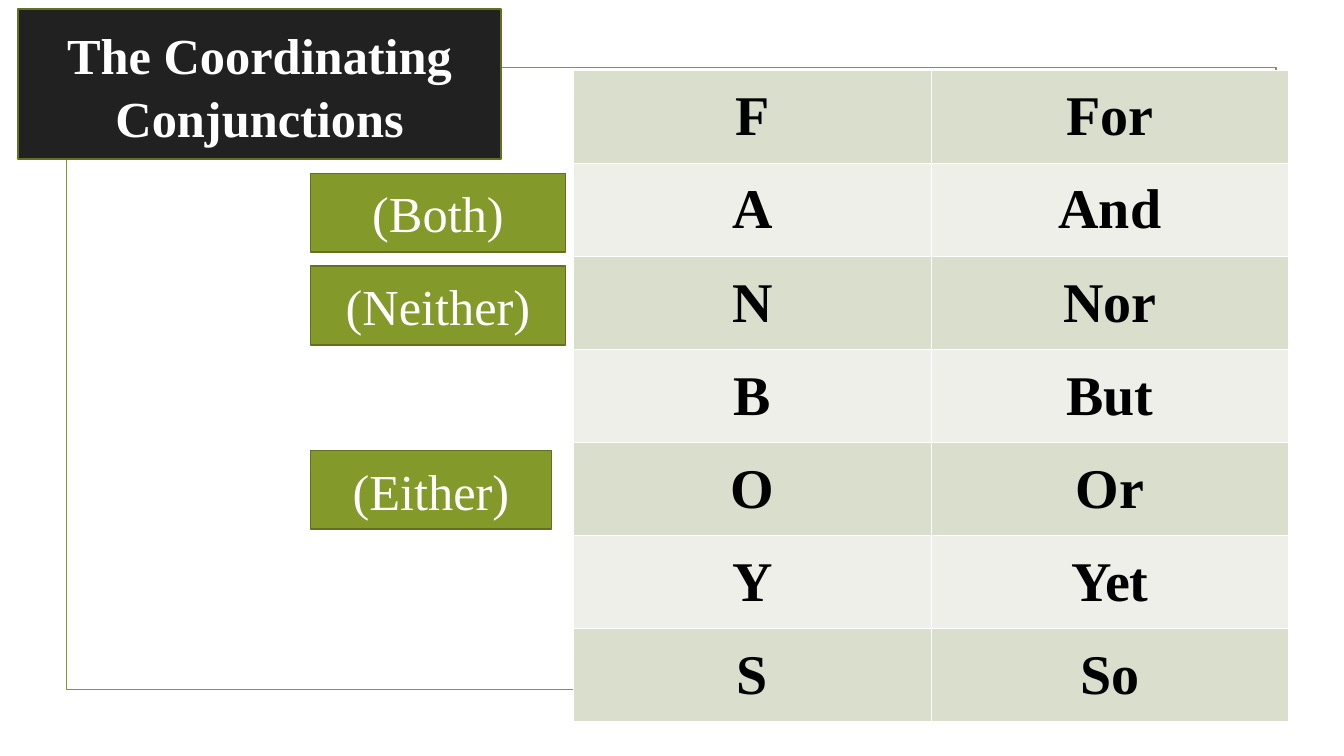
"""Build a slide that lists the seven coordinating conjunctions."""
from dataclasses import dataclass

from lxml import etree
from pptx import Presentation
from pptx.dml.color import RGBColor
from pptx.enum.shapes import MSO_SHAPE
from pptx.enum.text import MSO_ANCHOR, MSO_AUTO_SIZE, PP_ALIGN
from pptx.oxml.ns import qn
from pptx.util import Inches, Pt

RECTANGLE = MSO_SHAPE.RECTANGLE
MIDDLE = MSO_ANCHOR.MIDDLE
NO_AUTOFIT = MSO_AUTO_SIZE.NONE
CENTER = PP_ALIGN.CENTER


@dataclass(frozen=True)
class Theme:
    font: str = "Times New Roman"
    green: str = "83992A"
    dark_green: str = "61711F"
    charcoal: str = "212121"
    white: str = "FFFFFF"
    black: str = "000000"
    bands: tuple = ("D9DECD", "EDEFE8")
    heading_size: float = 36
    table_size: float = 40
    outline: float = 1.25
    grid: float = 1


theme = Theme()


def write_text(text_frame, text, size, color, bold):
    """Write one centred run in the theme font."""
    text_frame.word_wrap = True
    paragraph = text_frame.paragraphs[0]
    paragraph.alignment = CENTER
    run = paragraph.add_run()
    run.text = text
    run.font.name = theme.font
    run.font.size = Pt(size)
    run.font.bold = bold
    run.font.color.rgb = RGBColor.from_string(color)


def style_box(shape, fill, line):
    """Fill a box, or leave it open, and outline it."""
    if fill:
        shape.fill.solid()
        shape.fill.fore_color.rgb = RGBColor.from_string(fill)
    else:
        shape.fill.background()
    shape.line.color.rgb = RGBColor.from_string(line)
    shape.line.width = Pt(theme.outline)


presentation = Presentation()
presentation.slide_width = Inches(13.33)
presentation.slide_height = Inches(7.5)
slide = presentation.slides.add_slide(presentation.slide_layouts[5])
title = slide.shapes.title

frame = slide.shapes.add_shape(RECTANGLE, Inches(0.66), Inches(0.67), Inches(12), Inches(6.17))
frame.shadow.inherit = False
style_box(frame, None, theme.green)

conjunctions = ["For", "And", "Nor", "But", "Or", "Yet", "So"]
table_shape = slide.shapes.add_table(
    len(conjunctions), 2, Inches(5.69), Inches(0.7), Inches(7.09), Inches(6.46)
)
for row_index, conjunction in enumerate(conjunctions):
    for column_index, text in enumerate((conjunction[0], conjunction)):
        cell = table_shape.table.cell(row_index, column_index)
        cell.vertical_anchor = MIDDLE
        write_text(cell.text_frame, text, theme.table_size, theme.black, True)
        properties = cell._tc.get_or_add_tcPr()
        for side in ("lnL", "lnR", "lnT", "lnB"):
            border = etree.SubElement(properties, qn(f"a:{side}"), w=str(Pt(theme.grid)))
            border_fill = etree.SubElement(border, qn("a:solidFill"))
            etree.SubElement(border_fill, qn("a:srgbClr"), val=theme.white)
        cell.fill.solid()
        cell.fill.fore_color.rgb = RGBColor.from_string(theme.bands[row_index % 2])

title.element.addprevious(frame.element)
title.element.addprevious(table_shape.element)
title.left, title.top = Inches(0.18), Inches(0.09)
title.width, title.height = Inches(4.79), Inches(1.49)
style_box(title, theme.charcoal, theme.dark_green)
title.text_frame.auto_size = NO_AUTOFIT
title.text_frame.vertical_anchor = MIDDLE
write_text(
    title.text_frame, "The Coordinating Conjunctions", theme.heading_size, theme.white, True
)
title.text_frame.paragraphs[0].line_spacing = 1.05

partners = [("(Neither)", 2.64, 2.53), ("(Either)", 4.47, 2.39), ("(Both)", 1.72, 2.53)]
for text, top, width in partners:
    partner = slide.shapes.add_shape(
        RECTANGLE, Inches(3.08), Inches(top), Inches(width), Inches(0.78)
    )
    partner.shadow.inherit = False
    style_box(partner, theme.green, theme.dark_green)
    partner.text_frame.vertical_anchor = MIDDLE
    write_text(partner.text_frame, text, theme.heading_size, theme.white, False)

presentation.save("out.pptx")
